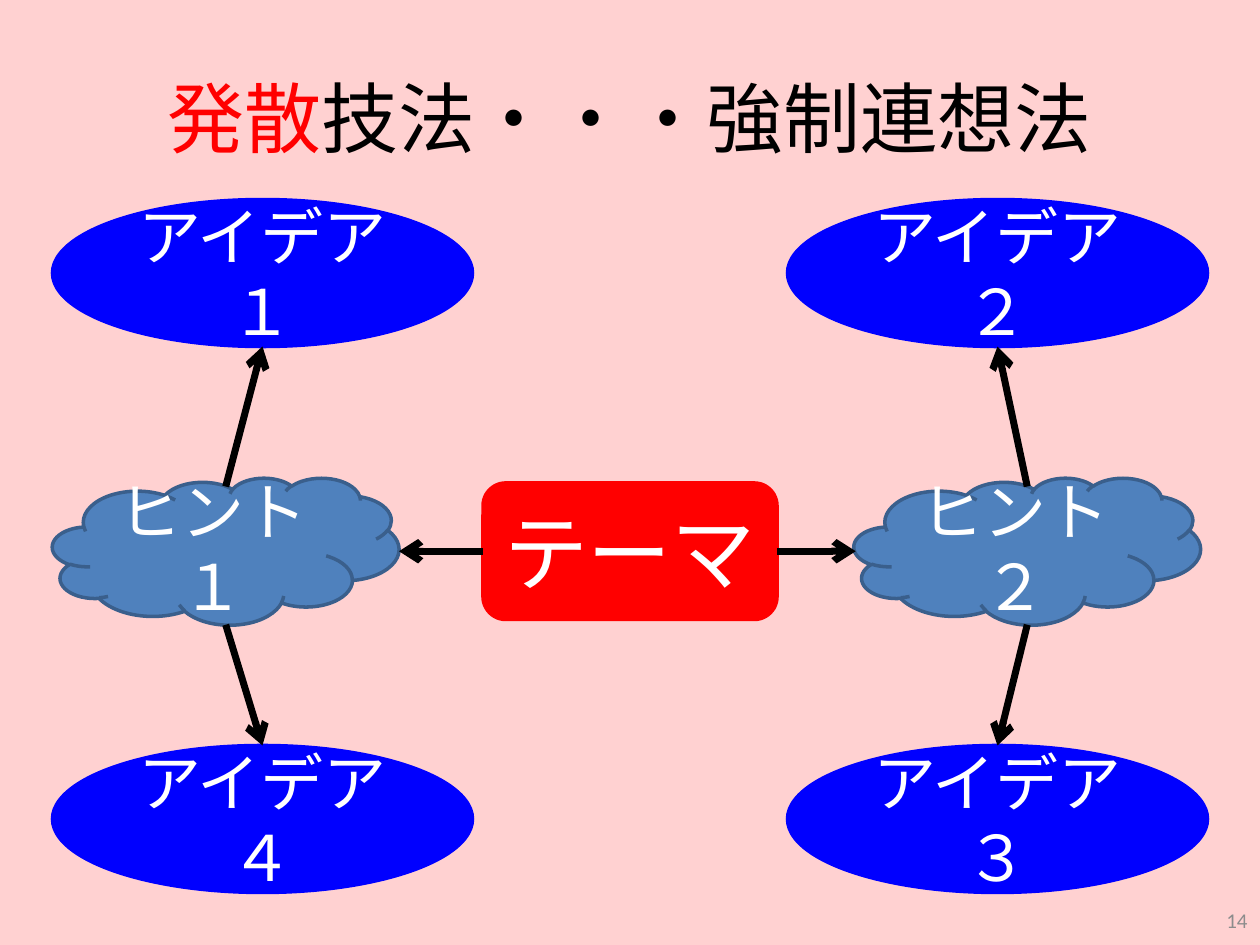
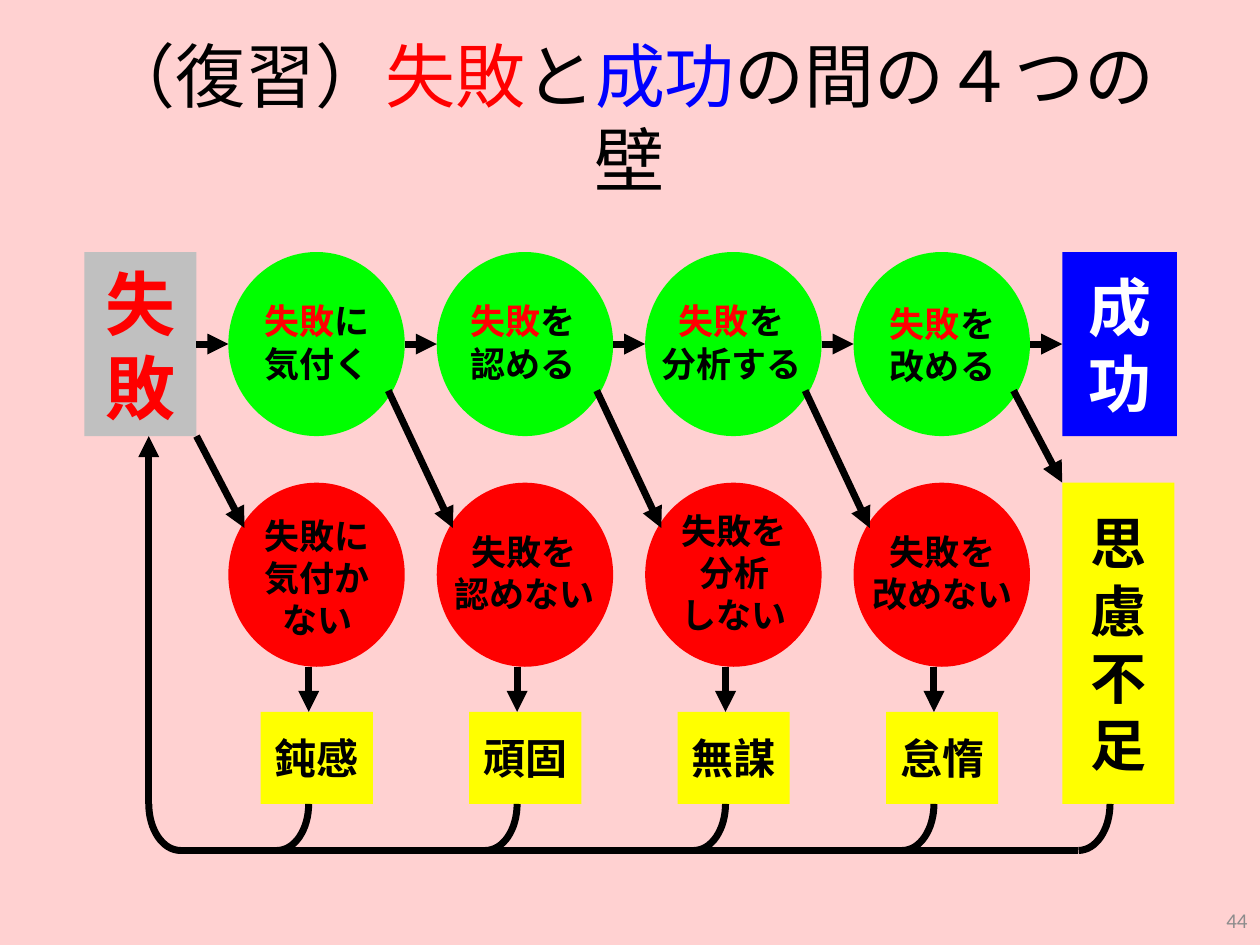
from math import cos, pi, sin

from lxml.etree import SubElement
from pptx import Presentation
from pptx.dml.color import RGBColor
from pptx.enum.shapes import MSO_CONNECTOR, MSO_SHAPE
from pptx.enum.text import MSO_ANCHOR, PP_ALIGN
from pptx.oxml.ns import qn
from pptx.util import Pt

PINK = RGBColor(0xFF, 0xD1, 0xD1)
RED = RGBColor(0xFF, 0, 0)
BLUE = RGBColor(0, 0, 0xFF)
GREEN = RGBColor(0, 0xFF, 0)
YELLOW = RGBColor(0xFF, 0xFF, 0)
SILVER = RGBColor(0xC0, 0xC0, 0xC0)
STEEL = RGBColor(0x4F, 0x81, 0xBD)
STEEL_EDGE = RGBColor(0x3A, 0x5F, 0x8C)
GRAY = RGBColor(0x8C, 0x8C, 0x8C)
BLACK = RGBColor(0, 0, 0)
WHITE = RGBColor(0xFF, 0xFF, 0xFF)
LATIN = "Calibri"
GOTHIC = "Noto Sans CJK JP"

ASSOCIATION_TITLE = [("発散", RED), ("技法・・・強制連想法", BLACK)]
THEME = "テーマ"
BRANCHES = [
    {"hint": "ヒント１", "hint_left": 30, "idea_left": 30, "ideas": ("アイデア１", "アイデア４")},
    {"hint": "ヒント２", "hint_left": 488, "idea_left": 450, "ideas": ("アイデア２", "アイデア３")},
]

WALLS_TITLE = [("（復習）", BLACK), ("失敗", RED), ("と", BLACK), ("成功", BLUE),
               ("の間の４つの壁", BLACK)]
FAILURE = "失敗"
SUCCESS = "成功"
THOUGHTLESS = "思慮不足"
WALLS = [
    {"pass": ("に", "気付く"), "pass_at": (9.4, 171.4),
     "block": ("失敗に", "気付か", "ない"), "block_at": (9.4, 293.8), "cause": "鈍感"},
    {"pass": ("を", "認める"), "pass_at": (7.9, 171.4),
     "block": ("失敗を", "認めない"), "block_at": (8.6, 303.1), "cause": "頑固"},
    {"pass": ("を", "分析する"), "pass_at": (7.9, 171.4),
     "block": ("失敗を", "分析", "しない"), "block_at": (9.4, 290.9), "cause": "無謀"},
    {"pass": ("を", "改める"), "pass_at": (9.4, 172.8),
     "block": ("失敗を", "改めない"), "block_at": (9.4, 303.1), "cause": "怠惰"},
]


def write(shape, paragraphs, size, font=LATIN, bold=False, align=PP_ALIGN.CENTER,
          anchor=MSO_ANCHOR.MIDDLE, inset=None):
    frame = shape.text_frame
    frame.word_wrap = True
    frame.vertical_anchor = anchor
    if inset is not None:
        frame.margin_left = frame.margin_right = Pt(inset)
        frame.margin_top = frame.margin_bottom = Pt(inset)
    for index, runs in enumerate(paragraphs):
        paragraph = frame.add_paragraph() if index else frame.paragraphs[0]
        paragraph.alignment = align
        for text, color in runs:
            run = paragraph.add_run()
            run.text = text
            run.font.size = Pt(size)
            run.font.bold = bold
            run.font.name = font
            run.font.color.rgb = color
            SubElement(run._r.get_or_add_rPr(), qn("a:ea")).set("typeface", font)


def add_box(shapes, kind, left, top, width, height, fill, edge=None):
    shape = shapes.add_shape(kind, Pt(left), Pt(top), Pt(width), Pt(height))
    shape.shadow.inherit = False
    shape.fill.solid()
    shape.fill.fore_color.rgb = fill
    if edge is None:
        shape.line.fill.background()
    else:
        shape.line.color.rgb = edge
        shape.line.width = Pt(2)
    return shape


def add_textbox(shapes, left, top, width, height):
    return shapes.add_textbox(Pt(left), Pt(top), Pt(width), Pt(height))


def add_line(slide, start, end, head=None):
    connector = slide.shapes.add_connector(
        MSO_CONNECTOR.STRAIGHT, *[Pt(value) for value in (*start, *end)])
    connector.line.color.rgb = BLACK
    connector.line.width = Pt(4)
    properties = connector._element.spPr
    if head:
        SubElement(properties.find(qn("a:ln")), qn("a:tailEnd")).set("type", head)
    SubElement(properties, qn("a:effectLst"))
    return connector


def add_slide(presentation, title, title_size, number):
    slide = presentation.slides.add_slide(presentation.slide_layouts[6])
    slide.background.fill.solid()
    slide.background.fill.fore_color.rgb = PINK
    write(add_textbox(slide.shapes, 36, 21.6, 648, 90), [title], title_size)
    write(add_textbox(slide.shapes, 552, 511, 168, 29), [[(number, GRAY)]], 12,
          align=PP_ALIGN.RIGHT)
    return slide


def build_association(presentation):
    slide = add_slide(presentation, ASSOCIATION_TITLE, 44, "14")
    idea_width, hint_width, height = 240, 198, 84
    idea_tops, hint_top = (114, 426), 273
    theme = add_box(slide.shapes, MSO_SHAPE.ROUNDED_RECTANGLE, 276, 276, 168, 78, RED, RED)
    write(theme, [[(THEME, WHITE)]], 48)
    for branch, side, theme_x in zip(BRANCHES, (1, 3), (276, 444)):
        hint_left = branch["hint_left"]
        hint_x = hint_left + hint_width / 2
        idea_x = branch["idea_left"] + idea_width / 2
        ideas = []
        for name, top in zip(branch["ideas"], idea_tops):
            idea = add_box(slide.shapes, MSO_SHAPE.OVAL, branch["idea_left"], top,
                           idea_width, height, BLUE, BLUE)
            write(idea, [[(name, WHITE)]], 36)
            ideas.append(idea)
        hint = add_box(slide.shapes, MSO_SHAPE.CLOUD, hint_left, hint_top,
                       hint_width, height, STEEL, STEEL_EDGE)
        write(hint, [[(branch["hint"], WHITE)]], 36)
        hint_edge = hint_left + hint_width if side == 1 else hint_left + 1
        add_line(slide, (theme_x, 315), (hint_edge, 315), "arrow").begin_connect(theme, side)
        add_line(slide, (hint_x, 278), (idea_x, idea_tops[0] + height), "arrow")
        lower = add_line(slide, (hint_x, hint_top + height), (idea_x, idea_tops[1]), "arrow")
        lower.end_connect(ideas[1], 0)


def add_step(slide, left, top, fill, paragraphs, text_at):
    group = slide.shapes.add_group_shape()
    add_box(group.shapes, MSO_SHAPE.OVAL, left, top, 100.8, 105.2, fill)
    offset, text_top = text_at
    label = add_textbox(group.shapes, left + offset, text_top, 82.8, 24.2 * len(paragraphs))
    write(label, paragraphs, 20, GOTHIC, True, anchor=MSO_ANCHOR.TOP, inset=0)


def add_block(slide, left, top, width, height, fill, lines, size, color, inset=0):
    block = add_box(slide.shapes, MSO_SHAPE.RECTANGLE, left, top, width, height, fill)
    write(block, [[(line, color)] for line in lines], size, GOTHIC, True, inset=inset)
    return block


def add_bend(slide, center_x, top, reach, drop, steps=16):
    points = [(Pt(center_x + reach * sin(pi / 2 * step / steps)),
               Pt(top + drop * cos(pi / 2 * step / steps))) for step in range(steps + 1)]
    builder = slide.shapes.build_freeform(*points[0])
    builder.add_line_segments(points[1:], close=False)
    bend = builder.convert_to_shape()
    bend.shadow.inherit = False
    bend.fill.background()
    bend.line.color.rgb = BLACK
    bend.line.width = Pt(4)


def build_walls(presentation):
    slide = add_slide(presentation, WALLS_TITLE, 40, "44")
    pitch, circle, first_left = 119.1, 100.8, 130.5
    pass_top, block_top, tall = 144, 275.8, 105.2
    cause_top, cause_bottom, rail_y = 406.8, 459.4, 486
    middle_y = pass_top + tall / 2
    goal_left, return_x, reach = 607, 85, 18
    lefts = [first_left + pitch * index for index in range(len(WALLS))]

    failure = add_block(slide, 48.2, pass_top, 64.1, tall, SILVER, FAILURE, 40, RED)
    success = add_block(slide, goal_left, pass_top, 65.5, tall, BLUE, SUCCESS, 36, WHITE, None)
    add_block(slide, goal_left, block_top, 64.1, cause_bottom - block_top, YELLOW,
              THOUGHTLESS, 32, BLACK)
    for wall, left in zip(WALLS, lefts):
        particle, action = wall["pass"]
        add_step(slide, left, pass_top, GREEN,
                 [[("失敗", RED), (particle, BLACK)], [(action, BLACK)]], wall["pass_at"])
        add_step(slide, left, block_top, RED,
                 [[(line, BLACK)] for line in wall["block"]], wall["block_at"])
        add_block(slide, left + 18.5, cause_top, 64.1, cause_bottom - cause_top, YELLOW,
                  [wall["cause"]], 24, BLACK)
        drop_x = left + 45.9
        add_line(slide, (drop_x, block_top + tall), (drop_x, cause_top), "triangle")

    exits = [112.3] + [left + circle for left in lefts]
    entries = lefts + [goal_left]
    across = [add_line(slide, (start, middle_y), (end, middle_y), "triangle")
              for start, end in zip(exits, entries)]
    across[0].begin_connect(failure, 3)
    across[-1].end_connect(success, 1)

    falls_from = [(112.3, pass_top + tall)] + [(left + 91.4, 223.2) for left in lefts]
    falls_to = [(left + 9.2, 301.7) for left in lefts] + [(goal_left, block_top)]
    for start, end in zip(falls_from, falls_to):
        add_line(slide, start, end, "triangle")

    add_line(slide, (return_x, cause_bottom), (return_x, pass_top + tall), "triangle")
    drop = rail_y - cause_bottom
    joins = [left + 45.9 - reach for left in lefts] + [616.3]
    add_bend(slide, return_x + reach, cause_bottom, -reach, drop)
    for join in joins:
        add_bend(slide, join, cause_bottom, reach, drop)
    for start, end in zip([return_x + reach] + joins, joins):
        add_line(slide, (start, rail_y), (end, rail_y))


def main():
    presentation = Presentation()
    presentation.slide_width = Pt(720)
    presentation.slide_height = Pt(540)
    build_association(presentation)
    build_walls(presentation)
    presentation.save("out.pptx")


if __name__ == "__main__":
    main()
